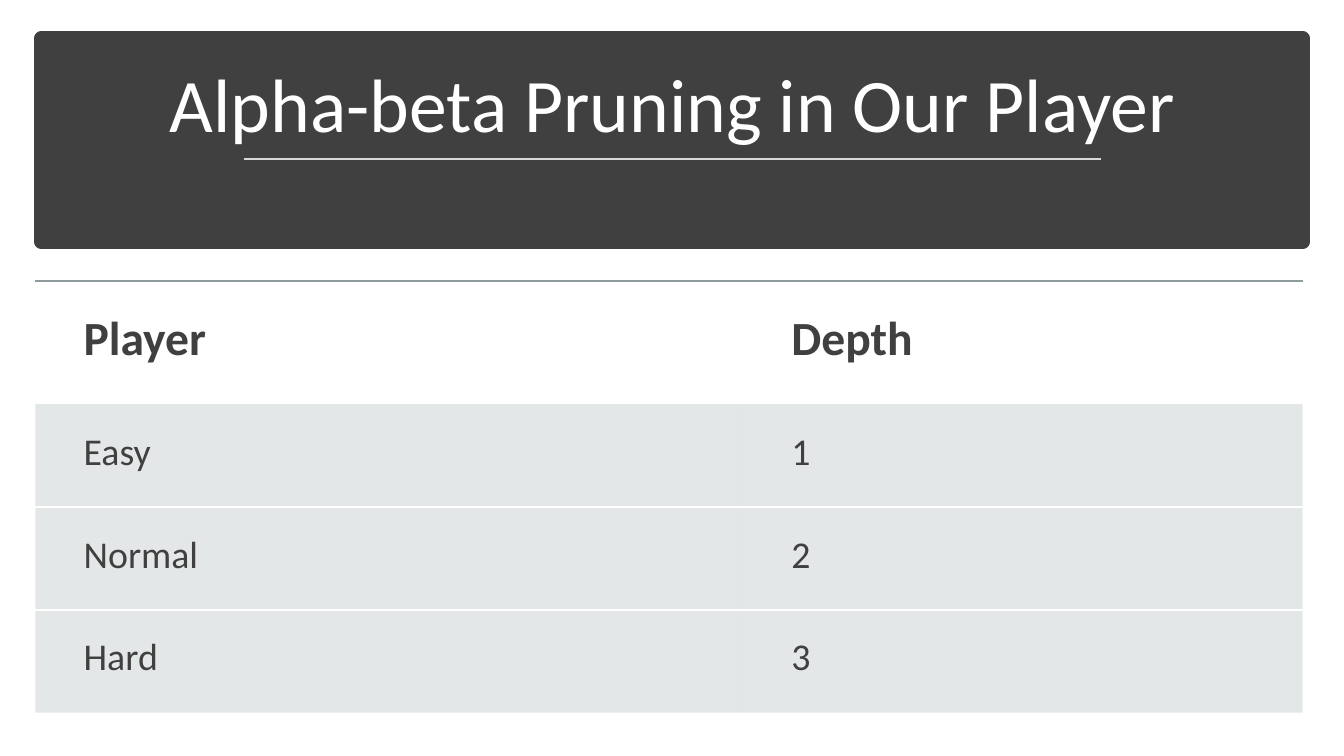
"""Build the slide on search depth per player difficulty."""
from lxml import etree
from pptx import Presentation
from pptx import util as u
from pptx.dml.color import RGBColor
from pptx.enum import shapes, text
from pptx.oxml.ns import qn

TITLE = "Alpha-beta Pruning in Our Player"
LEVELS = [("Player", "Depth"), ("Easy", "1"), ("Normal", "2"), ("Hard", "3")]

THEME = {
    "font": "Calibri", "title": 54, "header": 34, "body": 27,
    "dark": "404040", "white": "FFFFFF", "underline": "D9D9D9",
    "rule": "8F9A9D", "row": "B4BCBE",
    "row_alpha": 35, "rule_alpha": 60, "border": 1.5,
}
COLUMNS = (7.02, 5.55)
HEADER_HEIGHT, ROW_HEIGHT = 1.22, 1.02
INDENT, HEADER_PAD, ROW_PAD = 0.48, 0.29, 0.25


def colour(name):
    return RGBColor.from_string(THEME[name])


def style(paragraph, size, ink, bold=False):
    font = paragraph.font
    font.name, font.size, font.bold = THEME["font"], u.Pt(THEME[size]), bold
    font.color.rgb = colour(ink)


def set_alpha(parent, percent):
    for tint in parent.iter(qn("a:srgbClr")):
        etree.SubElement(tint, qn("a:alpha"), val=str(percent * 1000))


def add_borders(cell, top, bottom):
    """Draw the named top and bottom borders and clear the other sides."""
    properties = cell._tc.get_or_add_tcPr()
    for side, ink in (("L", None), ("R", None), ("T", top), ("B", bottom)):
        edge = etree.SubElement(properties, qn(f"a:ln{side}"))
        if ink is None:
            etree.SubElement(edge, qn("a:noFill"))
            continue
        edge.set("w", str(u.Pt(THEME["border"])))
        solid = etree.SubElement(edge, qn("a:solidFill"))
        etree.SubElement(solid, qn("a:srgbClr"), val=THEME[ink])
        if ink == "rule":
            set_alpha(solid, THEME["rule_alpha"])


def add_heading(slide):
    band = slide.shapes.add_shape(
        shapes.MSO_SHAPE.RECTANGLE,
        u.Inches(0.41), u.Inches(0.38), u.Inches(12.51), u.Inches(2.02))
    band.shadow.inherit = False
    band.fill.solid()
    band.fill.fore_color.rgb = colour("dark")
    band.line.color.rgb = colour("dark")
    band.line.width = u.Pt(10)

    heading = slide.shapes.add_textbox(
        u.Inches(0.58), u.Inches(0.51), u.Inches(12.18), u.Inches(1.02)).text_frame
    heading.word_wrap = True
    heading.vertical_anchor = text.MSO_ANCHOR.BOTTOM
    heading.text = TITLE
    title = heading.paragraphs[0]
    title.alignment = text.PP_ALIGN.CENTER
    title.line_spacing = 0.9
    style(title, "title", "white")

    underline = slide.shapes.add_connector(
        shapes.MSO_CONNECTOR.STRAIGHT,
        u.Inches(2.42), u.Inches(1.58), u.Inches(10.92), u.Inches(1.58))
    underline.line.color.rgb = colour("underline")
    underline.line.width = u.Pt(1.75)
    etree.SubElement(underline._element.spPr, qn("a:effectLst"))


def add_levels(slide):
    last = len(LEVELS) - 1
    levels = slide.shapes.add_table(
        len(LEVELS), len(COLUMNS), u.Inches(0.35), u.Inches(2.79),
        u.Inches(sum(COLUMNS)), u.Inches(HEADER_HEIGHT + last * ROW_HEIGHT)).table
    levels.first_row = levels.horz_banding = False
    for column, width in zip(levels.columns, COLUMNS):
        column.width = u.Inches(width)

    for r, entries in enumerate(LEVELS):
        is_header = r == 0
        levels.rows[r].height = u.Inches(HEADER_HEIGHT if is_header else ROW_HEIGHT)
        pad = u.Inches(HEADER_PAD if is_header else ROW_PAD)
        top = "rule" if is_header else "white" if r > 1 else None
        bottom = "white" if 0 < r < last else None
        for c, entry in enumerate(entries):
            cell = levels.cell(r, c)
            cell.text = entry
            cell.margin_left = u.Inches(INDENT)
            cell.margin_top = cell.margin_right = cell.margin_bottom = pad
            style(cell.text_frame.paragraphs[0],
                  "header" if is_header else "body", "dark", is_header)
            add_borders(cell, top, bottom)
            if is_header:
                cell.fill.background()
            else:
                cell.fill.solid()
                cell.fill.fore_color.rgb = colour("row")
                set_alpha(cell._tc.tcPr.find(qn("a:solidFill")), THEME["row_alpha"])


def main():
    deck = Presentation()
    deck.slide_width, deck.slide_height = u.Inches(13.33), u.Inches(7.5)
    slide = deck.slides.add_slide(deck.slide_layouts[6])
    add_heading(slide)
    add_levels(slide)
    deck.save("out.pptx")


if __name__ == "__main__":
    main()
